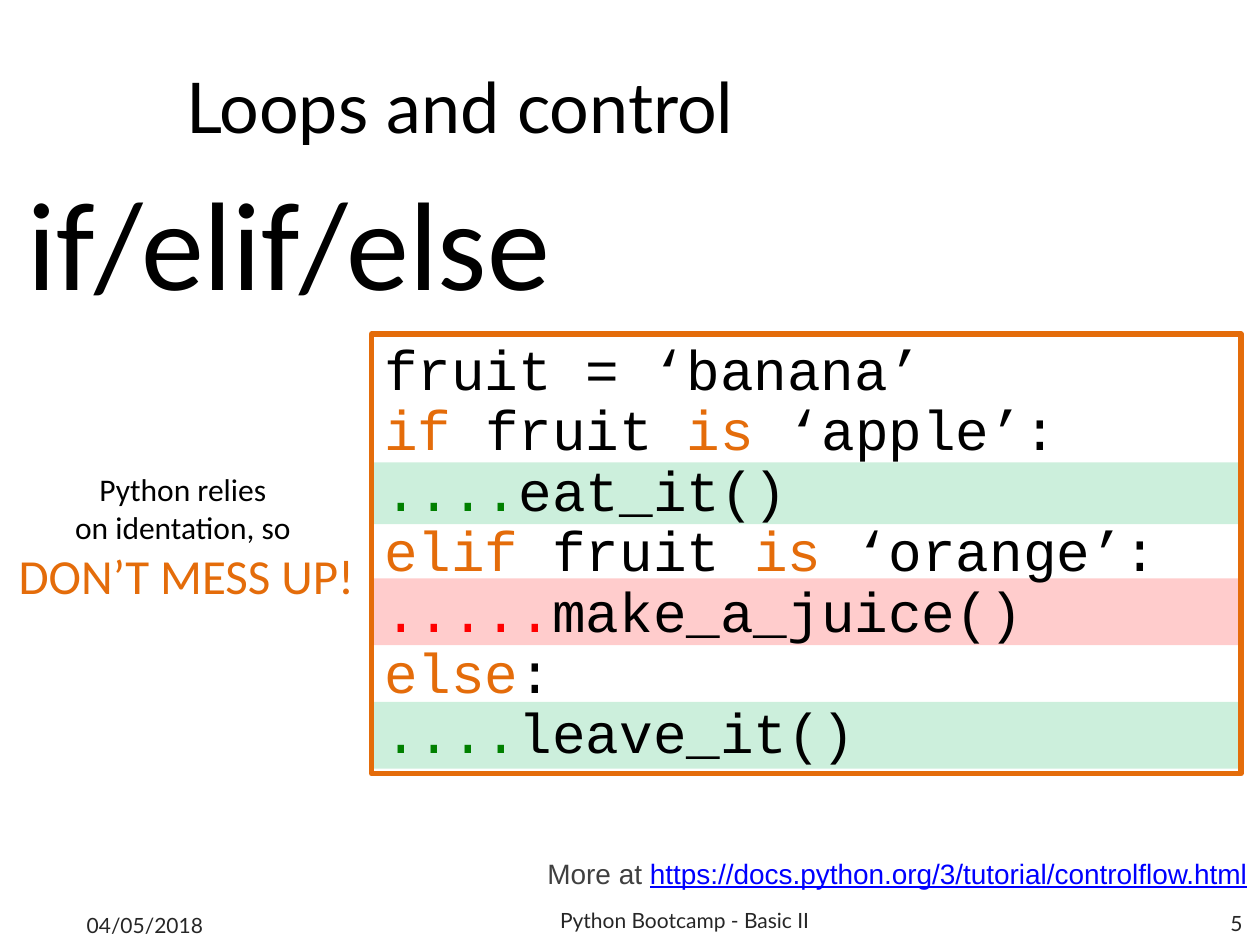
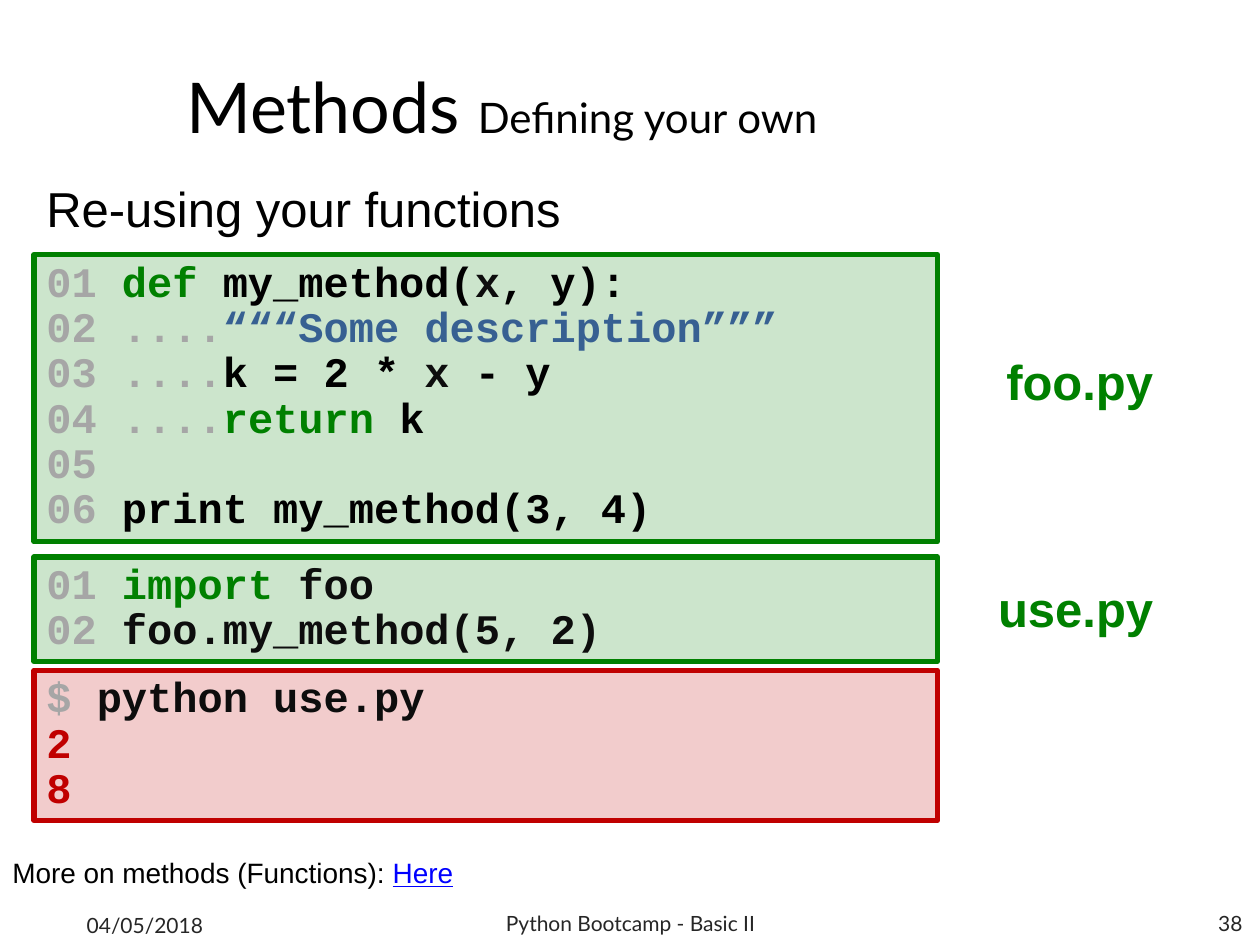
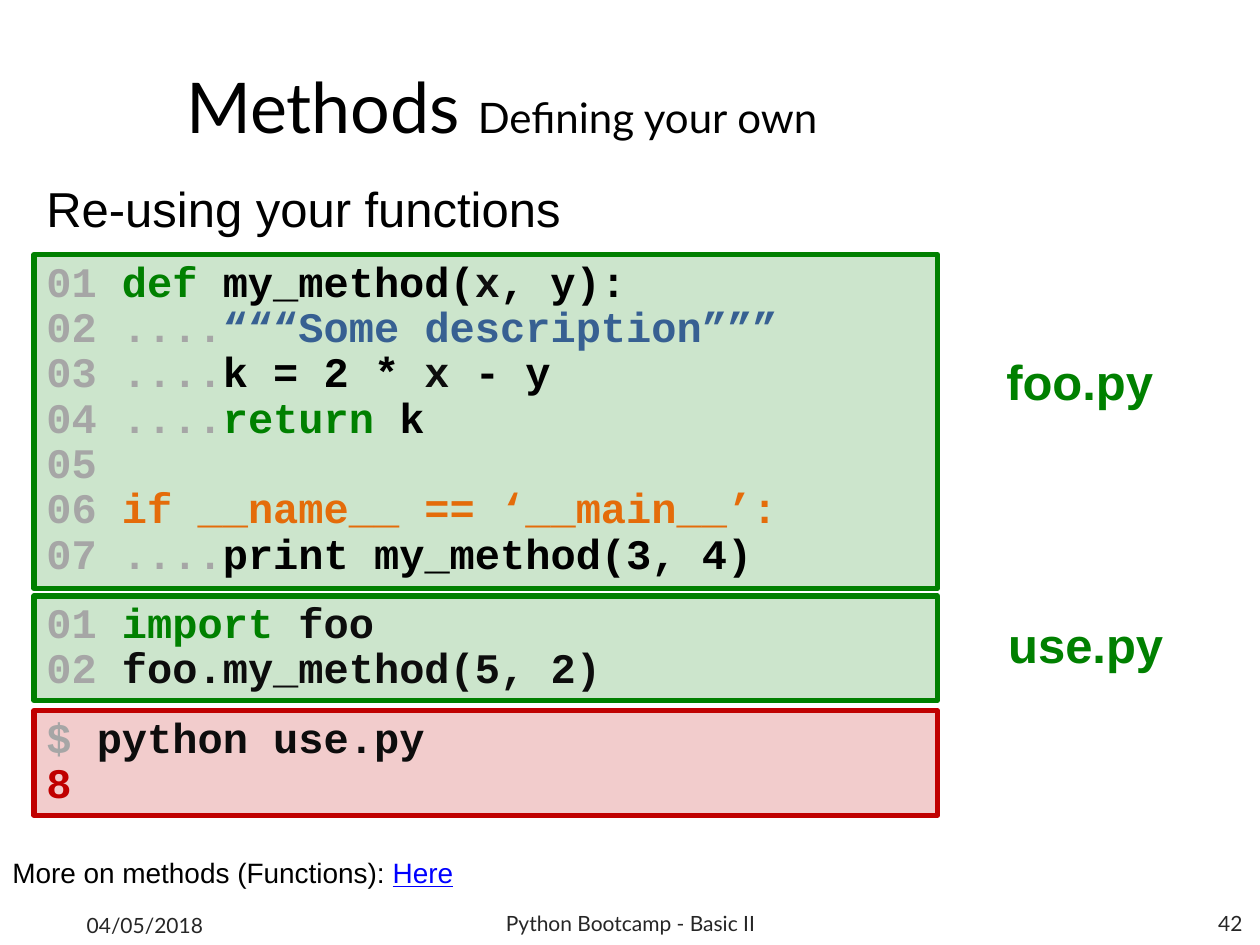
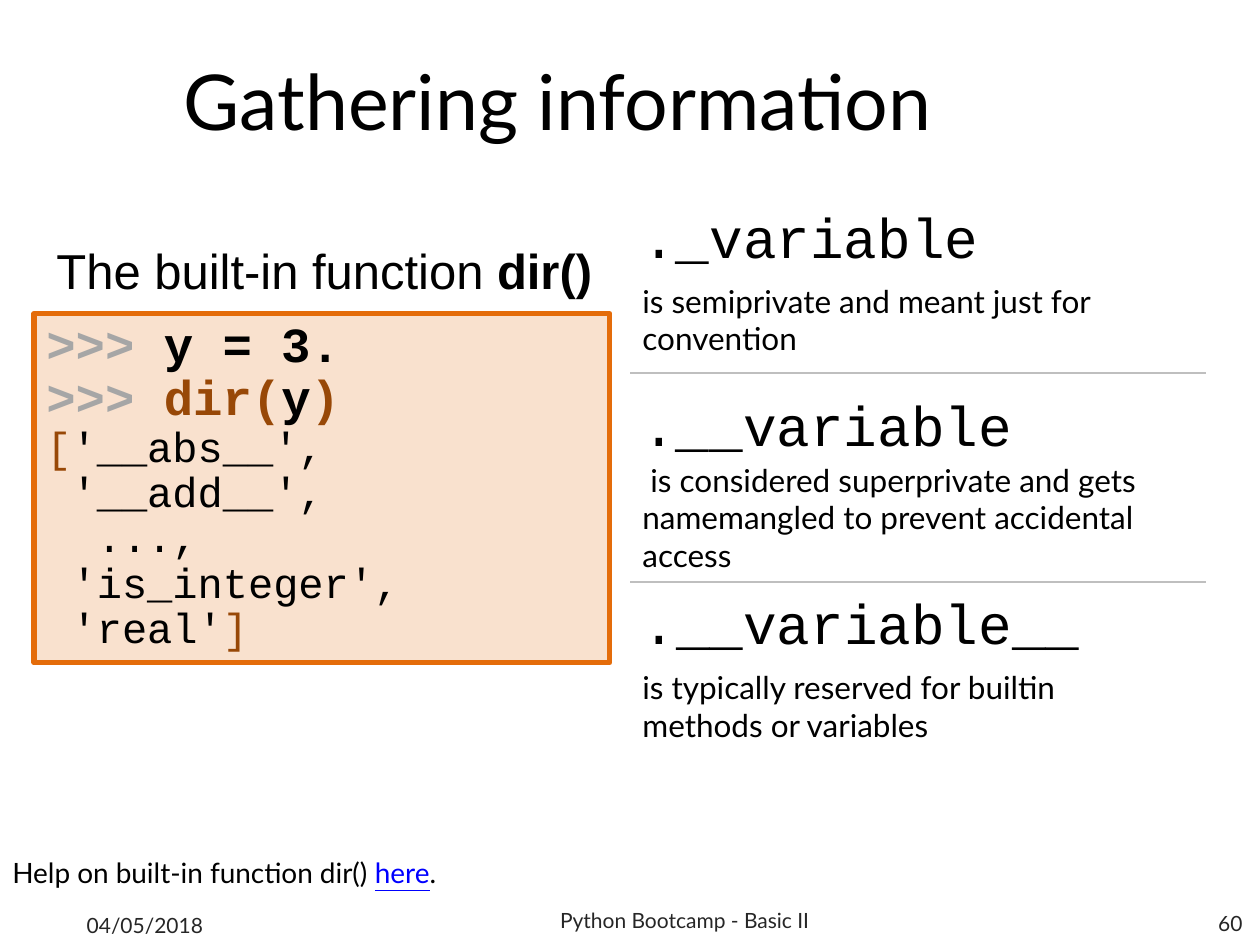
from dataclasses import dataclass, replace
from typing import NamedTuple, Optional

from lxml import etree
from pptx import Presentation
from pptx.dml.color import RGBColor
from pptx.enum.shapes import MSO_CONNECTOR, MSO_SHAPE
from pptx.enum.text import MSO_ANCHOR, MSO_AUTO_SIZE, PP_ALIGN
from pptx.oxml.ns import qn
from pptx.util import Inches, Pt

LEFT, CENTER, RIGHT = PP_ALIGN.LEFT, PP_ALIGN.CENTER, PP_ALIGN.RIGHT
TOP, MIDDLE, BOTTOM = MSO_ANCHOR.TOP, MSO_ANCHOR.MIDDLE, MSO_ANCHOR.BOTTOM
FIT_SHAPE, FIXED = MSO_AUTO_SIZE.SHAPE_TO_FIT_TEXT, MSO_AUTO_SIZE.NONE
RECTANGLE = MSO_SHAPE.RECTANGLE
STRAIGHT = MSO_CONNECTOR.STRAIGHT


@dataclass(frozen=True)
class Theme:
    black: str = "000000"
    ink: str = "0D0D0D"
    footer: str = "262626"
    source: str = "404040"
    muted: str = "A6A6A6"
    rule: str = "BFBFBF"
    orange: str = "E46C0A"
    brown: str = "984807"
    green: str = "008000"
    mint: str = "00B050"
    red: str = "FF0000"
    crimson: str = "C00000"
    docstring: str = "376092"
    link: str = "0000FF"
    display: str = "Lato"
    body: str = "Calibri"
    plain: str = "Arial"
    code: str = "Courier New"
    tiny: int = 12
    note: int = 16
    text: int = 18
    listing: int = 24
    heading: int = 28
    large: int = 32
    title: int = 40
    cover: int = 44
    huge: int = 72
    tint: int = 20
    border: float = 3
    spacing: float = 0.9


THEME = Theme()


class Box(NamedTuple):
    left: float
    top: float
    width: float
    height: float


class Span(NamedTuple):
    """A stretch of text with what differs from the style around it."""
    text: str
    color: Optional[str] = None
    size: Optional[int] = None
    bold: Optional[bool] = None
    underline: Optional[bool] = None


Line = list[Span]


@dataclass(frozen=True)
class TextStyle:
    font: str
    size: int
    color: str = THEME.black
    bold: bool = False
    align: PP_ALIGN = LEFT
    anchor: MSO_ANCHOR = TOP
    spacing: Optional[float] = None
    grow: bool = True
    wrap: bool = True


class Variable(NamedTuple):
    name: str
    name_box: Box
    meaning: str
    meaning_box: Box


TITLE = TextStyle(THEME.display, THEME.title, anchor=MIDDLE, grow=False)
FOOTER = TextStyle(THEME.display, THEME.tiny, THEME.footer, anchor=MIDDLE, grow=False)
HEADING = TextStyle(THEME.plain, THEME.heading)
FILE_NAME = replace(HEADING, color=THEME.green, bold=True, align=RIGHT)
NOTE = TextStyle(THEME.plain, THEME.note)
LISTING = TextStyle(THEME.code, THEME.listing, spacing=THEME.spacing)
BOLD_LISTING = replace(LISTING, bold=True)
VARIABLE = TextStyle(THEME.code, THEME.large, anchor=BOTTOM, wrap=False)
MEANING = TextStyle(THEME.display, THEME.text, anchor=MIDDLE)

TITLE_BOX = Box(1.38, 0.44, 8.12, 0.79)
DATE_BOX = Box(0.59, 7.14, 2.33, 0.4)
NUMBER_BOX = Box(7.63, 7.13, 2.33, 0.4)
WIDE_FOOTER = Box(3.15, 7.1, 4.57, 0.4)
NARROW_FOOTER = Box(3.42, 7.13, 3.17, 0.4)
NOTE_BOX = Box(0, 6.74, 10, 0.37)
PANEL_LEFT, PANEL_WIDTH = 0.27, 7.17

FUNCTION_CODE: list[Line] = [
    [Span("def ", THEME.green), Span("my_method("), Span("x", THEME.ink), Span(", y):")],
    [Span("....", THEME.muted), Span("“““Some description”””", THEME.docstring)],
    [Span("....", THEME.muted), Span("k = 2 * "), Span("x", THEME.ink), Span(" - y")],
    [Span("....", THEME.muted), Span("return ", THEME.green), Span("k")],
    [],
]
PRINT_CALL = Span("print my_method(3, 4)")
USE_CODE: list[Line] = [
    [Span("import ", THEME.green), Span("foo", THEME.ink)],
    [Span("foo.my_method(5, 2)", THEME.ink)],
]


def lengths(box: Box) -> list[int]:
    return [Inches(value) for value in box]


def style_font(font, style: TextStyle) -> None:
    font.name = style.font
    font.size = Pt(style.size)
    font.bold = style.bold
    font.color.rgb = RGBColor.from_string(style.color)


def write(shape, lines: list[Line], style: TextStyle) -> None:
    frame = shape.text_frame
    frame.word_wrap = style.wrap
    frame.auto_size = FIT_SHAPE if style.grow else FIXED
    frame.vertical_anchor = style.anchor
    for index, line in enumerate(lines):
        paragraph = frame.paragraphs[0] if index == 0 else frame.add_paragraph()
        paragraph.alignment = style.align
        if style.spacing:
            paragraph.line_spacing = style.spacing
        style_font(paragraph.font, style)
        for span in line:
            run = paragraph.add_run()
            run.text = span.text
            style_font(run.font, replace(
                style,
                color=span.color or style.color,
                size=span.size or style.size,
                bold=style.bold if span.bold is None else span.bold,
            ))
            if span.underline:
                run.font.underline = True


def add_text(slide, box: Box, lines: list[Line], style: TextStyle) -> None:
    write(slide.shapes.add_textbox(*lengths(box)), lines, style)


def add_rectangle(shapes, box: Box, fill: Optional[str] = None, border: Optional[str] = None):
    """Add a rectangle with a see-through tint, a border, or both."""
    rectangle = shapes.add_shape(RECTANGLE, *lengths(box))
    rectangle.shadow.inherit = False
    if fill:
        rectangle.fill.solid()
        rectangle.fill.fore_color.rgb = RGBColor.from_string(fill)
        color = rectangle.fill._xPr.find(qn("a:solidFill")).find(qn("a:srgbClr"))
        etree.SubElement(color, qn("a:alpha"), val=str(THEME.tint * 1000))
    else:
        rectangle.fill.background()
    if border:
        rectangle.line.color.rgb = RGBColor.from_string(border)
        rectangle.line.width = Pt(THEME.border)
    else:
        rectangle.line.fill.background()
    return rectangle


def add_panel(slide, box: Box, color: str, lines: list[Line], style: TextStyle) -> None:
    write(add_rectangle(slide.shapes, box, color, color), lines, style)


def add_rule(slide, top: float) -> None:
    rule = slide.shapes.add_connector(
        STRAIGHT, Inches(5), Inches(top), Inches(9.57), Inches(top))
    rule.line.color.rgb = RGBColor.from_string(THEME.rule)
    rule.line.width = Pt(0.75)
    etree.SubElement(rule._element.spPr, qn("a:effectLst"))


def add_slide(deck, number: int, footer_box: Box):
    """Add a blank slide with its date, footer and number."""
    slide = deck.slides.add_slide(deck.slide_layouts[6])
    add_text(slide, DATE_BOX, [[Span("04/05/2018")]], FOOTER)
    add_text(slide, footer_box, [[Span("Python Bootcamp - Basic II")]],
             replace(FOOTER, align=CENTER))
    add_text(slide, NUMBER_BOX, [[Span(str(number))]], replace(FOOTER, align=RIGHT))
    return slide


def numbered(lines: list[Line]) -> list[Line]:
    return [[Span(f"{number:02} " if line else f"{number:02}", THEME.muted), *line]
            for number, line in enumerate(lines, 1)]


def panel_box(top: float, line_count: int) -> Box:
    return Box(PANEL_LEFT, top, PANEL_WIDTH, round(0.1 + 0.364 * line_count, 2))


def build_control_slide(deck) -> None:
    slide = add_slide(deck, 5, WIDE_FOOTER)
    add_text(slide, TITLE_BOX, [[Span("Loops and control")]], TITLE)
    add_text(slide, Box(0.12, 1.39, 4.64, 1.19), [[Span("if/elif/else")]],
             TextStyle(THEME.body, THEME.huge, anchor=MIDDLE, spacing=THEME.spacing))
    add_text(slide, Box(0.03, 3.68, 2.9, 1.18), [
        [Span("Python relies ")],
        [Span("on identation, so ")],
        [Span("DON’T MESS UP!", THEME.orange, THEME.heading)],
    ], TextStyle(THEME.body, THEME.text, align=CENTER, wrap=False))

    example = slide.shapes.add_group_shape().shapes
    for box, color in (
        (Box(2.95, 3.67, 6.9, 0.49), THEME.mint),
        (Box(2.96, 4.59, 6.9, 0.53), THEME.red),
        (Box(2.95, 5.57, 6.9, 0.53), THEME.mint),
    ):
        add_rectangle(example, box, color)
    code = add_rectangle(example, Box(2.95, 2.65, 6.9, 3.49), border=THEME.orange)
    write(code, [
        [Span("fruit = ‘banana’")],
        [Span("if ", THEME.orange), Span("fruit "), Span("is ", THEME.orange),
         Span("‘apple’:")],
        [Span("....", THEME.green), Span("eat_it()")],
        [Span("elif ", THEME.orange), Span("fruit "), Span("is ", THEME.orange),
         Span("‘orange’:")],
        [Span(".....", THEME.red), Span("make_a_juice()")],
        [Span("else", THEME.orange), Span(":")],
        [Span("....", THEME.green), Span("leave_it()")],
    ], replace(LISTING, size=THEME.large, anchor=MIDDLE))

    add_text(slide, NOTE_BOX, [[
        Span("More at "),
        Span("https://docs.python.org/3/tutorial/controlflow.html", THEME.link,
             underline=True),
    ]], replace(NOTE, color=THEME.source, align=RIGHT, anchor=BOTTOM))


def build_reuse_slide(deck, number: int, call_code: list[Line], output: list[str],
                      use_top: float, shell_top: float, use_label: Box) -> None:
    """Show foo.py, the use.py that imports it, and what the shell prints."""
    slide = add_slide(deck, number, NARROW_FOOTER)
    add_text(slide, TITLE_BOX,
             [[Span("Methods "), Span("Defining your own", size=THEME.listing)]], TITLE)
    add_text(slide, Box(PANEL_LEFT, 1.37, PANEL_WIDTH, 0.57),
             [[Span("Re-using your functions")]], HEADING)

    shell = [[Span("$ ", THEME.muted), Span("python use.py", THEME.ink)]]
    shell += [[Span(value, THEME.crimson)] for value in output]
    for top, color, lines in (
        (2.02, THEME.green, numbered(FUNCTION_CODE + call_code)),
        (use_top, THEME.green, numbered(USE_CODE)),
        (shell_top, THEME.crimson, shell),
    ):
        add_panel(slide, panel_box(top, len(lines)), color, lines, BOLD_LISTING)

    add_text(slide, Box(1.77, 2.74, 7.48, 0.57), [[Span("foo.py")]], FILE_NAME)
    add_text(slide, use_label, [[Span("use.py")]], FILE_NAME)
    add_text(slide, NOTE_BOX, [[Span("More on methods (Functions): "),
                                Span("Here", THEME.link, underline=True)]], NOTE)


def build_information_slide(deck) -> None:
    slide = add_slide(deck, 60, WIDE_FOOTER)
    add_text(slide, Box(1.36, 0.11, 11.5, 1.45), [[Span("Gathering information")]],
             replace(TITLE, size=THEME.cover, spacing=THEME.spacing))
    add_text(slide, Box(0.35, 1.86, 6.67, 0.57),
             [[Span("The built-in function "), Span("dir()", bold=True)]], HEADING)

    prompt = Span(">>> ", THEME.muted, THEME.heading, True)
    add_panel(slide, Box(PANEL_LEFT, 2.49, 4.57, 2.77), THEME.orange, [
        [prompt, Span("y = 3.", size=THEME.heading, bold=True)],
        [prompt, Span("dir(", THEME.brown, THEME.heading, True),
         Span("y", size=THEME.heading, bold=True),
         Span(")", THEME.brown, THEME.heading, True)],
        [Span("[", THEME.brown), Span("'__abs__',")],
        [Span(" '__add__',")],
        [Span("  ...,")],
        [Span(" 'is_integer',")],
        [Span(" 'real'"), Span("]", THEME.brown)],
    ], LISTING)

    for variable in (
        Variable("._variable", Box(5, 1.55, 2.9, 0.64),
                 "is semiprivate and meant just for convention",
                 Box(5, 2.18, 4.41, 0.71)),
        Variable(".__variable", Box(5, 3.04, 3.17, 0.64),
                 " is considered superprivate and gets namemangled to prevent "
                 "accidental access",
                 Box(5, 3.6, 4.41, 1.01)),
        Variable(".__variable__", Box(5, 4.61, 3.71, 0.64),
                 "is typically reserved for builtin methods or variables",
                 Box(5, 5.25, 4.41, 0.71)),
    ):
        add_text(slide, variable.name_box, [[Span(variable.name)]], VARIABLE)
        add_text(slide, variable.meaning_box, [[Span(variable.meaning)]], MEANING)
    for top in (2.96, 4.62):
        add_rule(slide, top)

    add_text(slide, NOTE_BOX._replace(width=5), [[
        Span("Help on built-in function dir() "),
        Span("here", THEME.link, underline=True),
        Span("."),
    ]], replace(NOTE, font=THEME.display))


def main() -> None:
    deck = Presentation()
    deck.slide_width, deck.slide_height = Inches(10), Inches(7.5)
    build_control_slide(deck)
    build_reuse_slide(deck, 38, [[PRINT_CALL]], ["2", "8"], 4.42, 5.32,
                      Box(1.77, 4.54, 7.48, 0.57))
    guarded_call = [
        [Span("if __name__ == ‘__main__’:", THEME.orange)],
        [Span("....", THEME.muted), PRINT_CALL],
    ]
    build_reuse_slide(deck, 42, guarded_call, ["8"], 4.73, 5.64,
                      Box(1.85, 4.83, 7.48, 0.57))
    build_information_slide(deck)
    deck.save("out.pptx")


if __name__ == "__main__":
    main()
